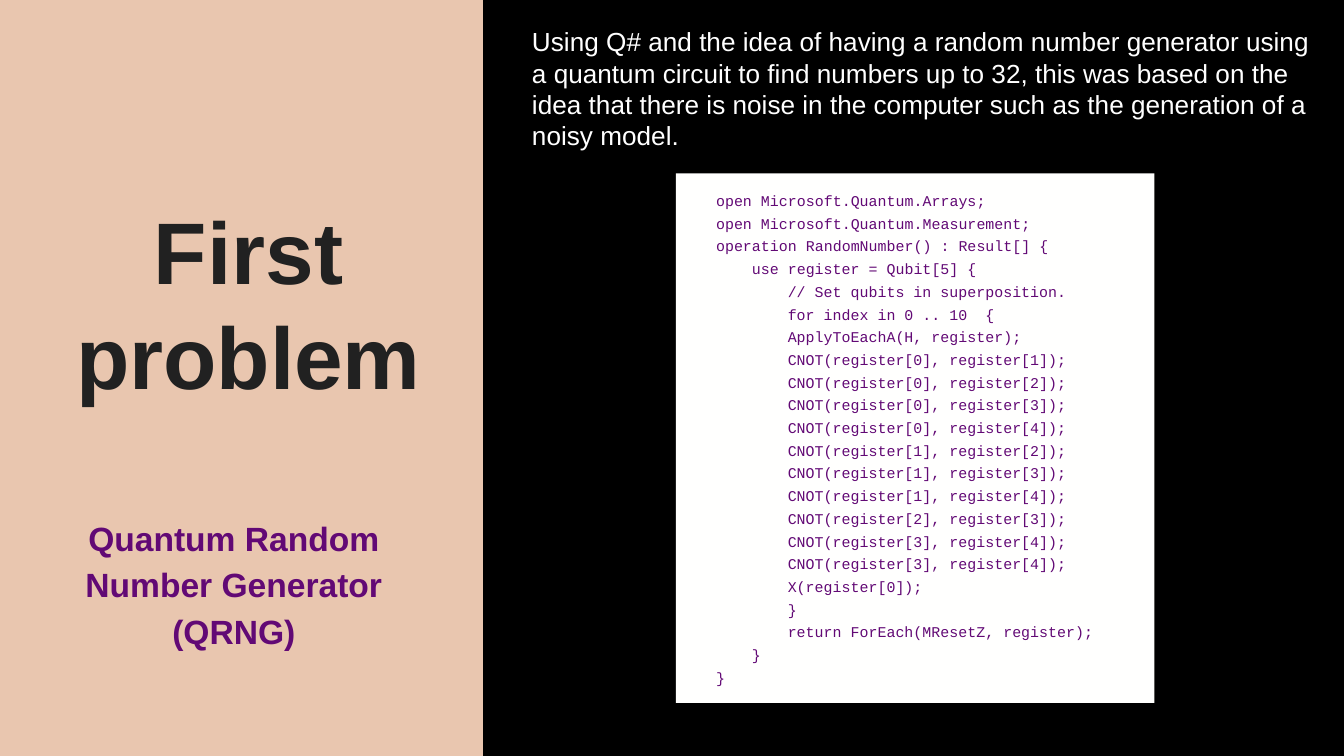
import dataclasses
import typing

import pptx
import pptx.dml.color
import pptx.enum.shapes
import pptx.enum.text
import pptx.util

Inches = pptx.util.Inches
Pt = pptx.util.Pt
RGBColor = pptx.dml.color.RGBColor
Align = pptx.enum.text.PP_ALIGN
Anchor = pptx.enum.text.MSO_ANCHOR

PEACH = RGBColor(0xE9, 0xC6, 0xAF)
BLACK = RGBColor(0x00, 0x00, 0x00)
CHARCOAL = RGBColor(0x21, 0x21, 0x21)
PURPLE = RGBColor(0x62, 0x09, 0x75)
WHITE = RGBColor(0xFF, 0xFF, 0xFF)
CODE_PAPER = RGBColor(0xFF, 0xFF, 0xFE)

SLIDE_WIDTH = 10
SLIDE_HEIGHT = SLIDE_WIDTH * 9 / 16
CODE_MARGIN = 0.2
CODE_INDENT = 4 / 15


@dataclasses.dataclass(frozen=True)
class Box:
    left: float
    top: float
    width: float
    height: float

    def lengths(self) -> tuple:
        return tuple(Inches(v) for v in dataclasses.astuple(self))


@dataclasses.dataclass(frozen=True)
class TextStyle:
    size: float
    color: RGBColor
    font: str = "Arial"
    bold: bool = False
    align: Align = Align.LEFT
    line_spacing: float = 1.0
    before: float = 0
    after: float = 0


class CodeLine(typing.NamedTuple):
    level: int
    code: str


TITLE = TextStyle(46.8, CHARCOAL, bold=True, align=Align.CENTER)
SUBTITLE = TextStyle(18, PURPLE, bold=True, align=Align.CENTER,
                     line_spacing=1.15, before=3, after=12)
SUMMARY = TextStyle(14, WHITE)
CODE = TextStyle(8, PURPLE, font="Courier New", line_spacing=1.27)

CNOT_PAIRS = [(0, 1), (0, 2), (0, 3), (0, 4), (1, 2),
              (1, 3), (1, 4), (2, 3), (3, 4), (3, 4)]

PROGRAM = [
    CodeLine(0, "open Microsoft.Quantum.Arrays;"),
    CodeLine(0, "open Microsoft.Quantum.Measurement;"),
    CodeLine(0, "operation RandomNumber() : Result[] {"),
    CodeLine(1, "use register = Qubit[5] {"),
    CodeLine(2, "// Set qubits in superposition."),
    CodeLine(2, "for index in 0 .. 10  {"),
    CodeLine(2, "ApplyToEachA(H, register);"),
    *(CodeLine(2, f"CNOT(register[{control}], register[{target}]);")
      for control, target in CNOT_PAIRS),
    CodeLine(2, "X(register[0]);"),
    CodeLine(2, "}"),
    CodeLine(2, "return ForEach(MResetZ, register);"),
    CodeLine(1, "}"),
    CodeLine(0, "}"),
]


def write(shape, text: str, style: TextStyle, anchor: Anchor = Anchor.TOP) -> None:
    frame = shape.text_frame
    frame.text = text
    frame.word_wrap = True
    frame.auto_size = pptx.enum.text.MSO_AUTO_SIZE.NONE
    frame.vertical_anchor = anchor
    frame.margin_left = frame.margin_right = Inches(0.1)
    frame.margin_top = frame.margin_bottom = Inches(0.1)
    for paragraph in frame.paragraphs:
        paragraph.alignment = style.align
        paragraph.line_spacing = style.line_spacing
        paragraph.space_before = Pt(style.before)
        paragraph.space_after = Pt(style.after)
        for run in paragraph.runs:
            run.font.name = style.font
            run.font.size = Pt(style.size)
            run.font.bold = style.bold
            run.font.color.rgb = style.color


def add_text(slide, box: Box, text: str, style: TextStyle) -> None:
    write(slide.shapes.add_textbox(*box.lengths()), text, style)


def add_panel(slide, box: Box, color: RGBColor):
    panel = slide.shapes.add_shape(
        pptx.enum.shapes.MSO_SHAPE.RECTANGLE, *box.lengths())
    panel.shadow.inherit = False
    panel.fill.solid()
    panel.fill.fore_color.rgb = color
    panel.line.fill.background()
    return panel


def add_listing(slide, box: Box, program: list[CodeLine]) -> None:
    listing = add_panel(slide, box, CODE_PAPER)
    write(listing, "\n".join(line.code for line in program), CODE)
    for paragraph, line in zip(listing.text_frame.paragraphs, program):
        margin = Inches(CODE_MARGIN + CODE_INDENT * line.level)
        paragraph._p.get_or_add_pPr().set("marL", str(margin))


def main() -> None:
    deck = pptx.Presentation()
    deck.slide_width, deck.slide_height = Inches(SLIDE_WIDTH), Inches(SLIDE_HEIGHT)
    slide = deck.slides.add_slide(deck.slide_layouts[5])
    slide.background.fill.solid()
    slide.background.fill.fore_color.rgb = PEACH

    title = slide.shapes.title
    title.left, title.top, title.width, title.height = Box(0.1, 1.59, 3.5, 1.54).lengths()
    write(title, "First problem", TITLE, Anchor.BOTTOM)

    backdrop = add_panel(slide, Box(3.6, 0, 6.46, SLIDE_HEIGHT), BLACK)
    backdrop.line.color.rgb = BLACK
    backdrop.line.width = Pt(0.75)

    add_text(slide, Box(0.1, 3.71, 3.28, 1.2),
             "Quantum Random Number Generator (QRNG)", SUBTITLE)
    add_text(slide, Box(3.86, 0.09, 6.08, 1.14),
             "Using Q# and the idea of having a random number generator using "
             "a quantum circuit to find numbers up to 32, this was based on the "
             "idea that there is noise in the computer such as the generation "
             "of a noisy model.", SUMMARY)
    add_listing(slide, Box(5.03, 1.29, 3.56, 3.94), PROGRAM)

    deck.save("out.pptx")


if __name__ == "__main__":
    main()
